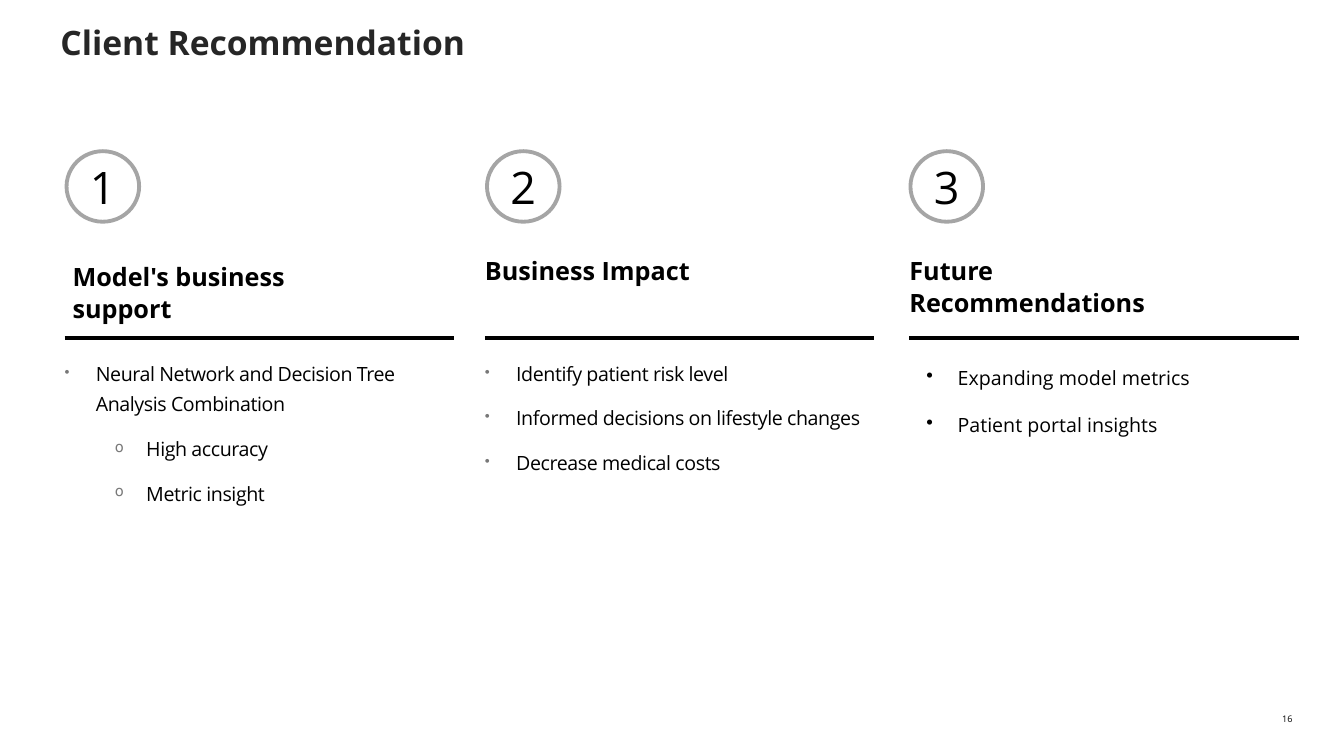
import pptx
import pptx.dml.color
import pptx.enum.shapes
import pptx.enum.text
import pptx.oxml.ns
import pptx.util
from lxml import etree

Inches = pptx.util.Inches
Pt = pptx.util.Pt
ALIGN = pptx.enum.text.PP_ALIGN
ANCHOR = pptx.enum.text.MSO_ANCHOR
FACE = "Open Sans"
BLACK, GREY = "000000", "787878"

# head: left, top, width, text; items: level, text
COLUMNS = [
    {"left": 0.64, "ring": 0.66,
     "head": (0.72, 2.57, 2.56, "Model's business support"),
     "items": [(0, "Neural Network and Decision Tree Analysis Combination"),
               (1, "High accuracy"), (1, "Metric insight")]},
    {"left": 4.81, "ring": 4.83,
     "head": (4.81, 2.52, 2.97, "Business Impact"),
     "items": [(0, "Identify patient risk level"),
               (0, "Informed decisions on lifestyle changes"),
               (0, "Decrease medical costs")]},
    {"left": 9.02, "ring": 9.03,
     "head": (9.02, 2.52, 2.34, "Future Recommendations"),
     "items": []},
]
FUTURE = ["Expanding model metrics", "Patient portal insights"]


def color(code):
    return pptx.dml.color.RGBColor.from_string(code)


def add_node(parent, tag, **attrs):
    node = etree.SubElement(parent, pptx.oxml.ns.qn(tag))
    for key, value in attrs.items():
        node.set(key, str(value))
    return node


def add_run(para, text, size, code=BLACK, bold=False, track=None):
    """Add one run; track is letter spacing in points."""
    run = para.add_run()
    run.text = text
    run.font.name = FACE
    run.font.size = Pt(size)
    run.font.bold = bold
    run.font.color.rgb = color(code)
    if track is not None:
        run.font._element.set("spc", str(round(track * 100)))


def add_frame(slide, left, top, width, height, inset=True):
    """Add a wrapping text box and return its text frame."""
    box = slide.shapes.add_textbox(
        Inches(left), Inches(top), Inches(width), Inches(height))
    frame = box.text_frame
    frame.word_wrap = True
    if not inset:
        frame.margin_left = frame.margin_right = 0
        frame.margin_top = frame.margin_bottom = 0
    return frame


def add_label(slide, area, text, size, code=BLACK, bold=False,
              spacing=1.0, align=ALIGN.LEFT):
    para = add_frame(slide, *area, inset=False).paragraphs[0]
    para.alignment = align
    para.line_spacing = spacing
    add_run(para, text, size, code, bold)


def add_ring(slide, left, number):
    ring = slide.shapes.add_shape(
        pptx.enum.shapes.MSO_SHAPE.OVAL,
        Inches(left), Inches(1.5), Inches(0.72), Inches(0.7))
    ring.shadow.inherit = False
    ring.fill.solid()
    ring.fill.fore_color.rgb = color("FFFFFF")
    ring.line.color.rgb = color("A5A5A5")
    ring.line.width = Pt(2.75)
    ring.text_frame.vertical_anchor = ANCHOR.MIDDLE
    para = ring.text_frame.paragraphs[0]
    para.alignment = ALIGN.CENTER
    add_run(para, str(number), 32)


def add_rule(slide, left):
    rule = slide.shapes.add_connector(
        pptx.enum.shapes.MSO_CONNECTOR.STRAIGHT,
        Inches(left), Inches(3.35), Inches(left + 3.86), Inches(3.35))
    rule.line.color.rgb = color(BLACK)
    rule.line.width = Pt(3)
    add_node(rule._element.spPr, "a:effectLst")


def add_list(frame, items, spacing, before=0, track=None, small=False):
    """Fill a frame with bullets; small makes the marks grey and reduced."""
    for index, (level, text) in enumerate(items):
        para = frame.add_paragraph() if index else frame.paragraphs[0]
        para.level = level
        props = para._p.get_or_add_pPr()
        props.set("marL", str(Inches(0.31 + 0.5 * level)))
        props.set("indent", str(Inches(-0.31)))
        if small:
            add_node(add_node(props, "a:buClr"), "a:srgbClr", val=GREY)
            add_node(props, "a:buSzPct", val=75000)
        add_node(props, "a:buChar", char="•o"[level])
        para.line_spacing = spacing
        para.space_before = Pt(before if index else 0)
        add_run(para, text, 14, track=track)


def main():
    deck = pptx.Presentation()
    deck.slide_width, deck.slide_height = Inches(13.33), Inches(7.5)
    slide = deck.slides.add_slide(deck.slide_layouts[6])

    add_label(slide, (0.6, 0.26, 12.46, 0.4), "Client Recommendation",
              24, "262626", True, 0.9)
    for number, col in enumerate(COLUMNS, 1):
        left, top, width, text = col["head"]
        add_ring(slide, col["ring"], number)
        add_label(slide, (left, top, width, 0.63), text,
                  18, bold=True, spacing=1.06)
        add_rule(slide, col["left"])
        if col["items"]:
            frame = add_frame(slide, col["left"], 3.52, 3.85, 0.73, False)
            add_list(frame, col["items"], 1.3, 10, -0.3, True)
    frame = add_frame(slide, 9.09, 3.35, 3.47, 0.98)
    add_list(frame, [(0, text) for text in FUTURE], 2.0)
    add_label(slide, (12.48, 7.08, 0.34, 0.11), "16", 6.5, align=ALIGN.RIGHT)

    deck.save("out.pptx")


if __name__ == "__main__":
    main()
